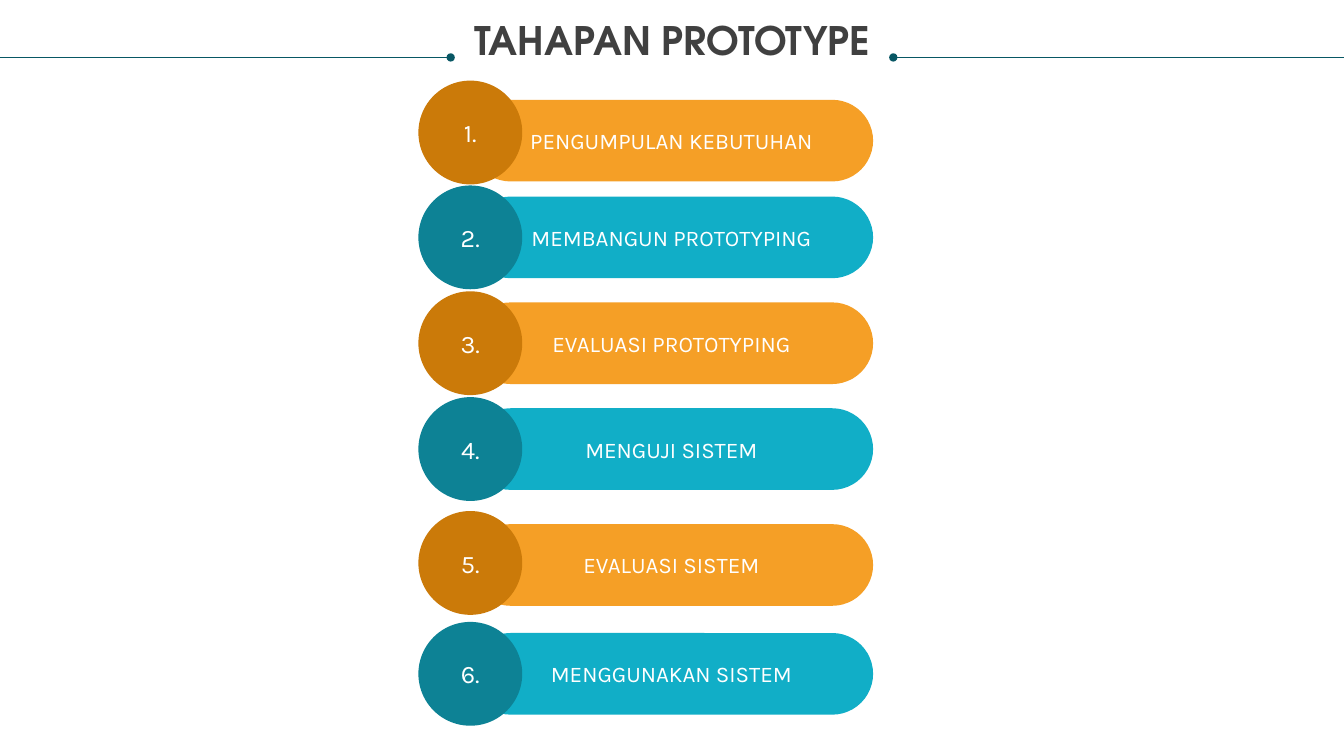
import pptx
import pptx.util
import pptx.dml.color
import pptx.enum.shapes
import pptx.enum.text
import pptx.oxml
import pptx.oxml.ns
import lxml.etree

Inches = pptx.util.Inches
SHAPE = pptx.enum.shapes.MSO_SHAPE
ANCHOR = pptx.enum.text.MSO_ANCHOR

# Content: label, top of bar, top of disc
TITLE = "TAHAPAN PROTOTYPE"
STEPS = [
    ("PENGUMPULAN KEBUTUHAN", 0.99, 0.8),
    ("MEMBANGUN PROTOTYPING", 1.95, 1.84),
    ("EVALUASI PROTOTYPING", 3, 2.89),
    ("MENGUJI SISTEM", 4.05, 3.94),
    ("EVALUASI SISTEM", 5.2, 5.07),
    ("MENGGUNAKAN SISTEM", 6.28, 6.17),
]
# Rules beside the title: start, end, dotted end
RULES = [(0, 4.47, "tailEnd"), (8.86, 13.33, "headEnd")]
COLORS = {
    "title": "404040", "rule": "085764", "text": "FFFFFF",
    "orange": "F59F26", "brown": "CB7A09",
    "cyan": "11AEC7", "teal": "0D8295",
}
PAIRS = [("orange", "brown"), ("cyan", "teal")]
WIDE, HIGH = 13.33, 7.5
RULE_Y = 0.57
BAR_X, BAR_W, BAR_H = 4.66, 4, 0.81
DISC_X, DISC = 4.15, 1.03


def color(name):
    return pptx.dml.color.RGBColor.from_string(COLORS[name])


def write(frame, text, font, size, tint, bold=False):
    par = frame.paragraphs[0]
    par.text = text
    par.alignment = pptx.enum.text.PP_ALIGN.CENTER
    par.font.name = font
    par.font.size = pptx.util.Pt(size)
    par.font.bold = bold
    par.font.color.rgb = color(tint)
    return par


def add_part(slide, kind, box, fill, text, size):
    part = slide.shapes.add_shape(kind, *map(Inches, box))
    part.shadow.inherit = False
    part.fill.solid()
    part.fill.fore_color.rgb = color(fill)
    part.line.fill.background()
    part.text_frame.word_wrap = True
    part.text_frame.vertical_anchor = ANCHOR.MIDDLE
    write(part.text_frame, text, "Karla", size, "text")
    return part


def add_rule(slide, start, end, dot):
    rule = slide.shapes.add_connector(
        pptx.enum.shapes.MSO_CONNECTOR.STRAIGHT,
        Inches(start), Inches(RULE_Y), Inches(end), Inches(RULE_Y))
    rule.line.color.rgb = color("rule")
    rule.line.width = pptx.util.Pt(0.5)
    name = pptx.oxml.ns.qn
    stroke = rule.line._get_or_add_ln()
    lxml.etree.SubElement(stroke, name("a:" + dot), type="oval")
    lxml.etree.SubElement(rule._element.spPr, name("a:effectLst"))


def main():
    deck = pptx.Presentation()
    deck.slide_width, deck.slide_height = Inches(WIDE), Inches(HIGH)
    slide = deck.slides.add_slide(deck.slide_layouts[6])

    # Title and its rules
    box = slide.shapes.add_textbox(*map(Inches, (0.25, 0.21, 12.83, 0.85)))
    frame = box.text_frame
    frame.word_wrap = True
    frame.margin_left = frame.margin_right = 0
    frame.margin_top = frame.margin_bottom = 0
    par = write(frame, TITLE, "TeX Gyre Adventor", 28, "title", True)
    par.line_spacing = 0.9
    for rule in RULES:
        add_rule(slide, *rule)

    # Steps: a bar with a numbered disc, in alternating colours
    for i, (label, bar_y, disc_y) in enumerate(STEPS):
        light, dark = PAIRS[i % 2]
        bar = add_part(slide, SHAPE.ROUNDED_RECTANGLE,
                       (BAR_X, bar_y, BAR_W, BAR_H), light, label, 16)
        bar.adjustments[0] = 0.5
        add_part(slide, SHAPE.OVAL, (DISC_X, disc_y, DISC, DISC),
                 dark, f"{i + 1}.", 18)

    deck.save("out.pptx")


if __name__ == "__main__":
    main()
